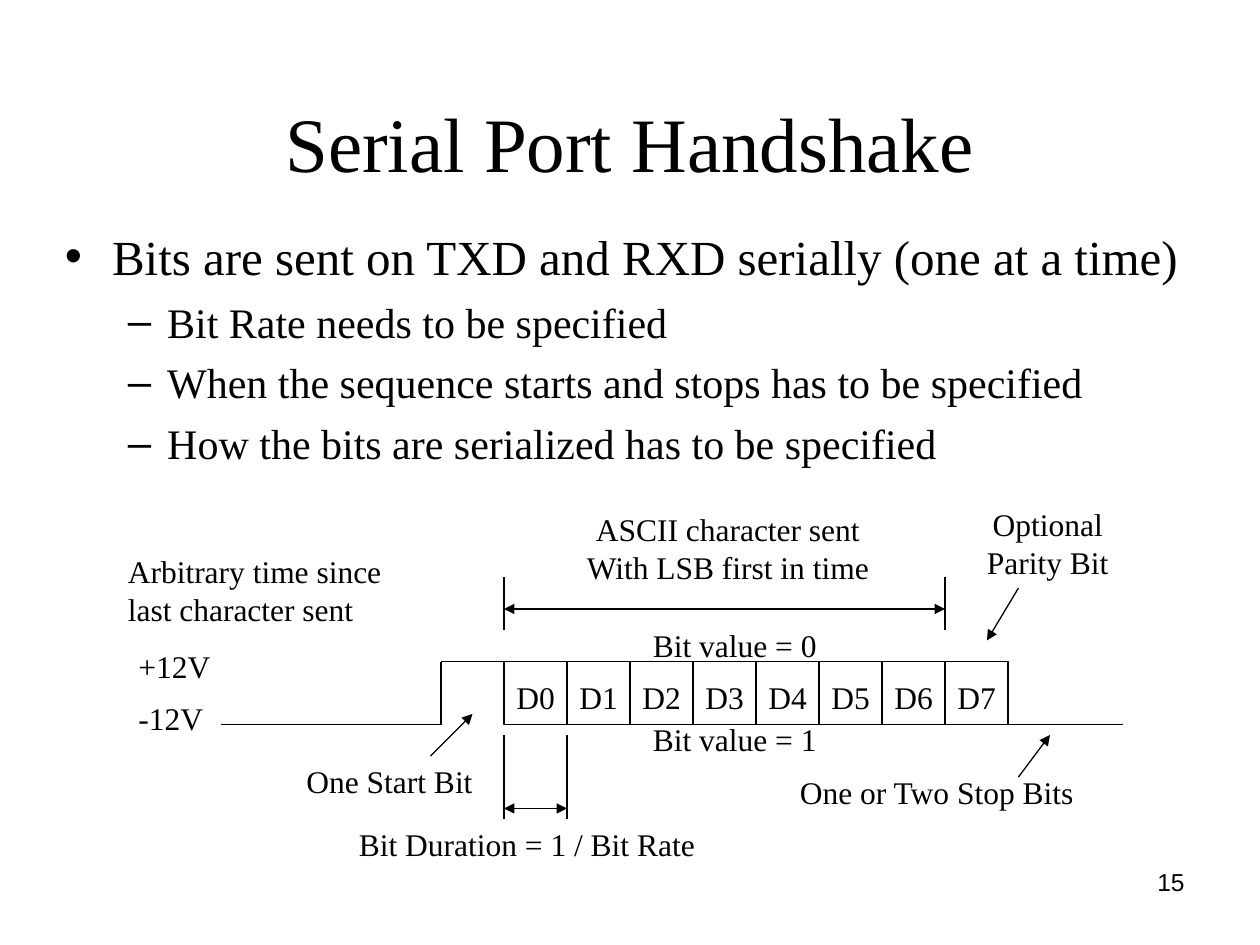
from dataclasses import dataclass

from lxml import etree
from pptx import Presentation
from pptx import util as u
from pptx.dml.color import RGBColor
from pptx.enum import shapes, text
from pptx.oxml.ns import qn


@dataclass(frozen=True)
class Theme:
    ink: RGBColor = RGBColor(0, 0, 0)
    serif: str = "Times New Roman"
    sans: str = "Arial"
    title: float = 44
    label: float = 18
    number: float = 14
    line: float = 0.75


THEME = Theme()
LEFT, CENTER, RIGHT = text.PP_ALIGN.LEFT, text.PP_ALIGN.CENTER, text.PP_ALIGN.RIGHT

TITLE = "Serial Port Handshake"
PAGE = "15"
POINTS = [
    (0, "Bits are sent on TXD and RXD serially (one at a time)"),
    (1, "Bit Rate needs to be specified"),
    (1, "When the sequence starts and stops has to be specified"),
    (1, "How the bits are serialized has to be specified"),
]
# Per level: bullet, type size, left margin, hanging indent, space before
LEVELS = [("•", 28, 27, -27, 0), ("–", 24, 58.5, -22.5, 6)]

DATA_BITS = [f"D{n}" for n in range(8)]
BIT = 36
START, DATA = 252, 288
HIGH, LOW = 378, 414
PARITY = DATA + 7 * BIT
STOP = DATA + len(DATA_BITS) * BIT

# Lines of text, left, top, width, alignment
LABELS = [
    (["Arbitrary time since", "last character sent"], 66, 312, 159, LEFT),
    (["ASCII character sent", "With LSB first in time"], 328, 288, 176, CENTER),
    (["Optional", "Parity Bit"], 557, 285, 83.5, CENTER),
    (["+12V"], 72, 366, 55.5, LEFT),
    (["-12V"], 72, 396, 51, LEFT),
    (["One Start Bit"], 168, 432, 109.5, LEFT),
    (["One or Two Stop Bits"], 450, 438, 172, LEFT),
    (["Bit value = 0"], 366, 354, 108, LEFT),
    (["Bit value = 1"], 366, 408, 108, LEFT),
    (["Bit Duration = 1 / Bit Rate"], 198, 468, 206.5, LEFT),
]
SIGNAL = [
    (126, LOW, START, LOW),
    (START, HIGH, START, LOW),
    (START, HIGH, DATA, HIGH),
    (STOP, LOW, 642, LOW),
]
POINTERS = [(246, 432, 270, 408), (582, 444, 600, 420), (582, 336, 564, 366)]
# Left, right, top and bottom of the end marks, height of the arrow
DIMENSIONS = [(DATA, PARITY, 330, 360, 348), (DATA, DATA + BIT, 420, 468, 462)]


def add_run(para, words, size, font=THEME.serif):
    run = para.add_run()
    run.text = words
    run.font.name, run.font.size = font, u.Pt(size)
    run.font.color.rgb = THEME.ink


def add_box(slide, left, top, width, height):
    frame = slide.shapes.add_textbox(*map(u.Pt, (left, top, width, height))).text_frame
    frame.word_wrap = True
    return frame


def paragraphs(frame, count):
    """Return the frame's first paragraph and as many new ones as needed."""
    return [frame.paragraphs[0]] + [frame.add_paragraph() for _ in range(count - 1)]


def add_label(slide, lines, left, top, width, align=LEFT):
    """Add a snug label whose free side insets are given up to its text."""
    frame = add_box(slide, left, top, width, 8 + 21 * len(lines))
    frame.margin_right = 0
    if align == CENTER:
        frame.margin_left = 0
    for para, words in zip(paragraphs(frame, len(lines)), lines):
        para.alignment = align
        add_run(para, words, THEME.label)


def add_line(slide, ends, arrows=()):
    """Draw a line; arrows names the ends (headEnd, tailEnd) that get a tip."""
    line = slide.shapes.add_connector(shapes.MSO_CONNECTOR.STRAIGHT, *map(u.Pt, ends))
    line.line.color.rgb = THEME.ink
    line.line.width = u.Pt(THEME.line)
    props = line._element.spPr
    for end in arrows:
        etree.SubElement(props.find(qn("a:ln")), qn(f"a:{end}"), type="triangle")
    etree.SubElement(props, qn("a:effectLst"))


def add_title(slide):
    title = slide.shapes.title
    title.left, title.top, title.width, title.height = map(u.Pt, (36, 21.6, 648, 90))
    frame = title.text_frame
    frame.word_wrap = True
    frame.auto_size = text.MSO_AUTO_SIZE.NONE
    frame.vertical_anchor = text.MSO_ANCHOR.BOTTOM
    para = frame.paragraphs[0]
    para.alignment, para.line_spacing = CENTER, 0.9
    add_run(para, TITLE, THEME.title)


def add_points(slide):
    frame = add_box(slide, 30, 126, 654, 174)
    for para, (level, words) in zip(paragraphs(frame, len(POINTS)), POINTS):
        bullet, size, margin, indent, before = LEVELS[level]
        para.level = level
        para.space_before = u.Pt(before)
        props = para._p.get_or_add_pPr()
        props.set("marL", str(u.Pt(margin)))
        props.set("indent", str(u.Pt(indent)))
        etree.SubElement(props, qn("a:buFont"), typeface=THEME.sans)
        etree.SubElement(props, qn("a:buChar"), char=bullet)
        add_run(para, words, size)


def add_data_bits(slide):
    for n, name in enumerate(DATA_BITS):
        left = DATA + n * BIT
        cell = slide.shapes.add_shape(
            shapes.MSO_SHAPE.RECTANGLE, *map(u.Pt, (left, HIGH, BIT, LOW - HIGH)))
        cell.shadow.inherit = False
        cell.fill.background()
        cell.line.color.rgb = THEME.ink
        cell.line.width = u.Pt(THEME.line)
        add_label(slide, [name], left, HIGH + 6, BIT)


def main():
    deck = Presentation()
    deck.slide_width, deck.slide_height = u.Pt(720), u.Pt(540)
    slide = deck.slides.add_slide(deck.slide_layouts[5])
    add_title(slide)
    add_points(slide)
    add_data_bits(slide)
    for ends in SIGNAL:
        add_line(slide, ends)
    for ends in POINTERS:
        add_line(slide, ends, ["tailEnd"])
    for left, right, top, bottom, middle in DIMENSIONS:
        for x in (left, right):
            add_line(slide, (x, top, x, bottom))
        add_line(slide, (left, middle, right, middle), ["headEnd", "tailEnd"])
    for label in LABELS:
        add_label(slide, *label)
    number = add_box(slide, 516, 492, 168, 37.5).paragraphs[0]
    number.alignment = RIGHT
    add_run(number, PAGE, THEME.number, THEME.sans)
    deck.save("out.pptx")


if __name__ == "__main__":
    main()
